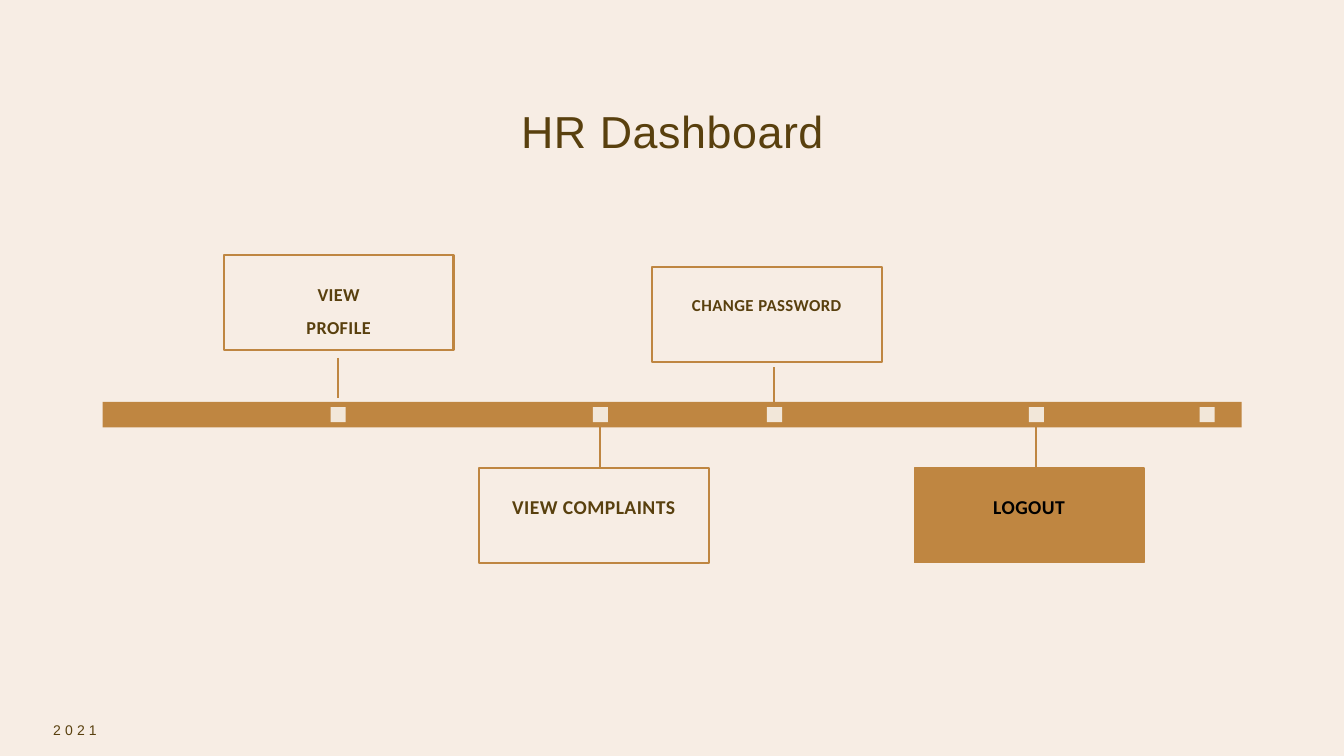
import pptx
import pptx.dml.color
import pptx.enum.shapes
import pptx.enum.text
import pptx.oxml.ns
import pptx.util
from pptx.util import Cm

RGBColor = pptx.dml.color.RGBColor
CREAM = RGBColor(0xF7, 0xED, 0xE4)
MARKER = RGBColor(0xF2, 0xE7, 0xD9)
BRONZE = RGBColor(0xBF, 0x86, 0x41)
BROWN = RGBColor(0x59, 0x40, 0x0E)
BLACK = RGBColor(0, 0, 0)

ALIGN = pptx.enum.text.PP_ALIGN
ANCHOR = pptx.enum.text.MSO_ANCHOR
BOX_WIDTH, BOX_HEIGHT = 5.79, 2.39
MARKER_SIZE = 0.38


def write_paragraph(paragraph, text, spacing, font_format):
    """Add one run; spacing is the letter spacing in points."""
    run = paragraph.add_run()
    run.text = text
    run._r.get_or_add_rPr().set("spc", str(round(spacing * 100)))
    for name, value in font_format.items():
        if name == "color":
            run.font.color.rgb = value
        else:
            setattr(run.font, name, value)


def add_rectangle(left, top, width, height, fill=None, line=None, line_width=1.5):
    shape = slide.shapes.add_shape(
        pptx.enum.shapes.MSO_SHAPE.RECTANGLE, Cm(left), Cm(top), Cm(width), Cm(height))
    shape.shadow.inherit = False
    if fill is None:
        shape.fill.background()
    else:
        shape.fill.solid()
        shape.fill.fore_color.rgb = fill
    if line is None:
        shape.line.fill.background()
    else:
        shape.line.color.rgb = line
        shape.line.width = pptx.util.Pt(line_width)
    return shape


presentation = pptx.Presentation()
presentation.slide_width, presentation.slide_height = Cm(33.87), Cm(19.05)
slide = presentation.slides.add_slide(presentation.slide_layouts[5])
slide.background.fill.solid()
slide.background.fill.fore_color.rgb = CREAM

# Title and year
title = slide.shapes.title
title.left, title.top, title.width, title.height = Cm(2.34), Cm(2.11), Cm(29.21), Cm(2.54)
title.text_frame.auto_size = pptx.enum.text.MSO_AUTO_SIZE.NONE
title.text_frame.vertical_anchor = ANCHOR.MIDDLE
title_paragraph = title.text_frame.paragraphs[0]
title_paragraph.alignment = ALIGN.CENTER
title_paragraph.line_spacing = 0.9
write_paragraph(title_paragraph, "HR Dashboard", 0.4,
                {"name": "Arial", "size": pptx.util.Pt(32), "color": BROWN})

year = slide.shapes.add_textbox(Cm(1.09), Cm(17.7), Cm(7.62), Cm(1.02))
year.text_frame.word_wrap = True
year.text_frame.vertical_anchor = ANCHOR.BOTTOM
write_paragraph(year.text_frame.paragraphs[0], "2021", 3,
                {"name": "Arial", "size": pptx.util.Pt(10), "color": BROWN})

# Timeline bar with its markers
add_rectangle(2.59, 10.13, 28.7, 0.64, fill=BRONZE)
for marker_left in (8.33, 14.94, 19.33, 25.93, 30.23):
    add_rectangle(marker_left, 10.26, MARKER_SIZE, MARKER_SIZE, fill=MARKER)

# Stems between the bar and the boxes
for x, start, end in ((8.51, 9.02, 10.03), (19.51, 9.25, 10.26),
                      (15.11, 11.79, 10.77), (26.11, 11.79, 10.77)):
    stem = slide.shapes.add_connector(
        pptx.enum.shapes.MSO_CONNECTOR.STRAIGHT, Cm(x), Cm(start), Cm(x), Cm(end))
    stem.line.color.rgb = BRONZE
    stem.line.width = pptx.util.Pt(1.5)
    stem._element.spPr.append(pptx.oxml.parse_xml(
        f"<a:effectLst {pptx.oxml.ns.nsdecls('a')}/>"))

# Menu boxes: left, top, lines, text size, text colour, fill, outline width
menu_boxes = (
    (5.64, 6.43, ("VIEW", "PROFILE"), 13, BROWN, None, 1.5),
    (16.43, 6.73, ("CHANGE PASSWORD",), 12, BROWN, None, 1.5),
    (12.07, 11.79, ("VIEW COMPLAINTS",), 14, BROWN, None, 1.5),
    (23.04, 11.79, ("LOGOUT",), 14, BLACK, BRONZE, 1),
)
for left, top, lines, size, color, fill, outline in menu_boxes:
    box = add_rectangle(left, top, BOX_WIDTH, BOX_HEIGHT, fill, BRONZE, outline)
    frame = box.text_frame
    frame_format = {"margin_left": 0, "margin_right": 0, "margin_bottom": 0,
                    "margin_top": Cm(0.76), "word_wrap": True,
                    "vertical_anchor": ANCHOR.TOP}
    for name, value in frame_format.items():
        setattr(frame, name, value)
    for index, line in enumerate(lines):
        paragraph = frame.add_paragraph() if index else frame.paragraphs[0]
        paragraph.alignment = ALIGN.CENTER
        paragraph.line_spacing = 0.9
        if index:
            paragraph.space_before = pptx.util.Pt(10)
        write_paragraph(paragraph, line, 0.3,
                        {"name": "Calibri", "size": pptx.util.Pt(size),
                         "bold": True, "color": color})

presentation.save("out.pptx")
